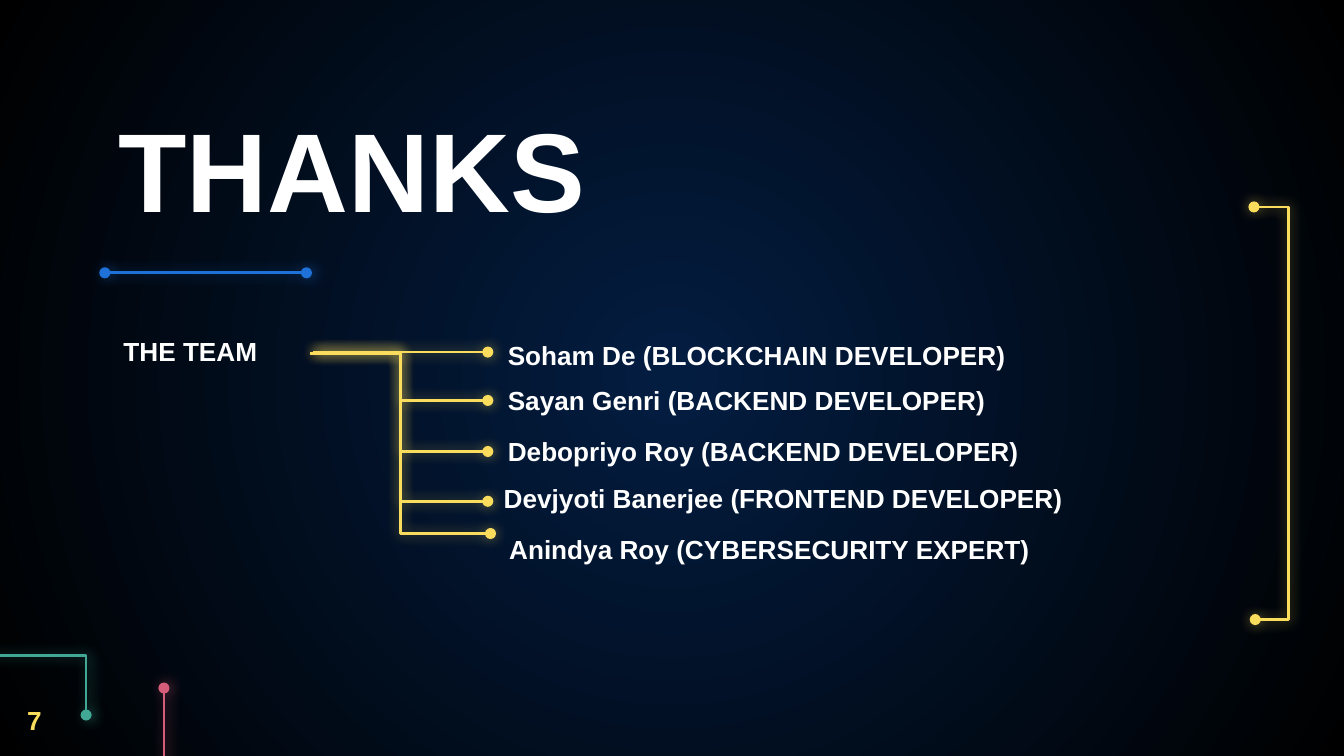
from lxml import etree
from pptx import Presentation
from pptx.dml.color import RGBColor
from pptx.enum import shapes, text
from pptx.oxml import parse_xml
from pptx.oxml.ns import nsdecls, qn
from pptx.util import Inches, Pt

COLORS = {
    "white": "FFFFFF",
    "yellow": "FADD5C",
    "blue": "1E71D8",
    "teal": "40A895",
    "pink": "D55D7A",
    "center": "031D41",
    "edge": "000000",
}
STRAIGHT = shapes.MSO_CONNECTOR.STRAIGHT
ELBOW = shapes.MSO_CONNECTOR.ELBOW

# name, text left, text top, text width, branch start, branch end
TEAM = [
    ("Soham De (BLOCKCHAIN DEVELOPER)", 3.68, 2.48, 4.57, (2.33, 2.62), (3.63, 2.62)),
    ("Sayan Genri (BACKEND DEVELOPER)", 3.68, 2.81, 4.82, (2.33, 2.62), (3.63, 2.98)),
    ("Debopriyo Roy (BACKEND DEVELOPER)", 3.68, 3.19, 4.82, (2.33, 2.62), (3.63, 3.36)),
    ("Devjyoti Banerjee (FRONTEND DEVELOPER)", 3.65, 3.54, 5.1, (2.33, 2.62), (3.63, 3.73)),
    ("Anindya Roy (CYBERSECURITY EXPERT)", 3.69, 3.92, 5.1, (2.31, 2.63), (3.65, 3.97)),
]


def set_background(slide):
    """Fill the slide with a gradient spreading from its middle."""
    slide.background.fill.solid()
    solid = slide._element.find(".//" + qn("p:bgPr")).find(qn("a:solidFill"))
    gradient = parse_xml(
        f'<a:gradFill {nsdecls("a")} rotWithShape="1"><a:gsLst>'
        f'<a:gs pos="0"><a:srgbClr val="{COLORS["center"]}"/></a:gs>'
        f'<a:gs pos="100000"><a:srgbClr val="{COLORS["edge"]}"/></a:gs></a:gsLst>'
        '<a:path path="circle"><a:fillToRect l="50000" t="50000" r="50000" b="50000"/>'
        "</a:path></a:gradFill>"
    )
    solid.getparent().replace(solid, gradient)


def write_text(shape, content, size=14, color="white", align=text.PP_ALIGN.LEFT,
               anchor=text.MSO_ANCHOR.TOP, fit=text.MSO_AUTO_SIZE.NONE):
    frame = shape.text_frame
    frame.word_wrap = True
    frame.auto_size = fit
    frame.vertical_anchor = anchor
    paragraph = frame.paragraphs[0]
    paragraph.alignment = align
    run = paragraph.add_run()
    run.text = content
    run.font.name = "Arial"
    run.font.size = Pt(size)
    run.font.bold = True
    run.font.color.rgb = RGBColor.from_string(COLORS[color])


def add_label(slide, content, left, top, width, height=0.34, **style):
    box = slide.shapes.add_textbox(Inches(left), Inches(top), Inches(width), Inches(height))
    write_text(box, content, **style)


def add_title(slide, content):
    title = slide.shapes.title
    title.left, title.top = Inches(0.78), Inches(0.77)
    title.width, title.height = Inches(4.77), Inches(0.95)
    frame = title.text_frame
    frame.margin_left = frame.margin_right = Inches(0.1)
    frame.margin_top = frame.margin_bottom = Inches(0.1)
    write_text(title, content, size=60, anchor=text.MSO_ANCHOR.MIDDLE)


def add_glowing_line(slide, kind, start, end, color, head=True, distance=0.0,
                     bend=None, rotation=0):
    """Draw a dotted-end line with a soft shadow; bend is a share of its width."""
    connector = slide.shapes.add_connector(kind, *(Inches(value) for value in start + end))
    connector.line.width = Pt(1.5)
    connector.line.color.rgb = RGBColor.from_string(COLORS[color])
    properties = connector._element.spPr
    line = properties.find(qn("a:ln"))
    if head:
        etree.SubElement(line, qn("a:headEnd"), type="oval")
    etree.SubElement(line, qn("a:tailEnd"), type="oval")
    properties.append(parse_xml(
        f'<a:effectLst {nsdecls("a")}><a:outerShdw blurRad="{Pt(6.8)}" '
        f'dist="{Pt(distance)}" dir="0" algn="bl" rotWithShape="0">'
        f'<a:srgbClr val="{COLORS[color]}"><a:alpha val="50000"/></a:srgbClr>'
        "</a:outerShdw></a:effectLst>"
    ))
    if rotation:
        properties.find(qn("a:xfrm")).set("rot", str(rotation * 60000))
    if bend is not None:
        guides = properties.find(qn("a:prstGeom")).find(qn("a:avLst"))
        etree.SubElement(guides, qn("a:gd"), name="adj1", fmla=f"val {round(bend * 100000)}")


def add_team(slide):
    fit = text.MSO_AUTO_SIZE.SHAPE_TO_FIT_TEXT
    add_label(slide, "THE TEAM", 0.82, 2.45, 1.45, fit=fit)
    for member, left, top, width, start, end in TEAM:
        add_glowing_line(slide, ELBOW, start, end, "yellow", head=False)
        add_label(slide, member, left, top, width, fit=fit)


def main():
    presentation = Presentation()
    presentation.slide_width = Inches(10)
    presentation.slide_height = Inches(10) * 9 // 16
    slide = presentation.slides.add_slide(presentation.slide_layouts[5])
    set_background(slide)

    add_glowing_line(slide, STRAIGHT, (1.22, 6.16), (1.22, 5.12), "pink", distance=1.5)
    add_glowing_line(slide, ELBOW, (0.64, 4.43), (-0.25, 5.32), "teal", distance=1.5,
                     rotation=270)
    add_glowing_line(slide, ELBOW, (9.33, 1.54), (9.34, 4.61), "yellow", bend=26)
    add_title(slide, "THANKS")
    add_glowing_line(slide, STRAIGHT, (0.78, 2.03), (2.28, 2.03), "blue", distance=1.5)
    add_team(slide)
    add_label(slide, "7", 0.12, 5.19, 0.18, 0.27, color="yellow",
              align=text.PP_ALIGN.CENTER)
    presentation.save("out.pptx")


if __name__ == "__main__":
    main()
